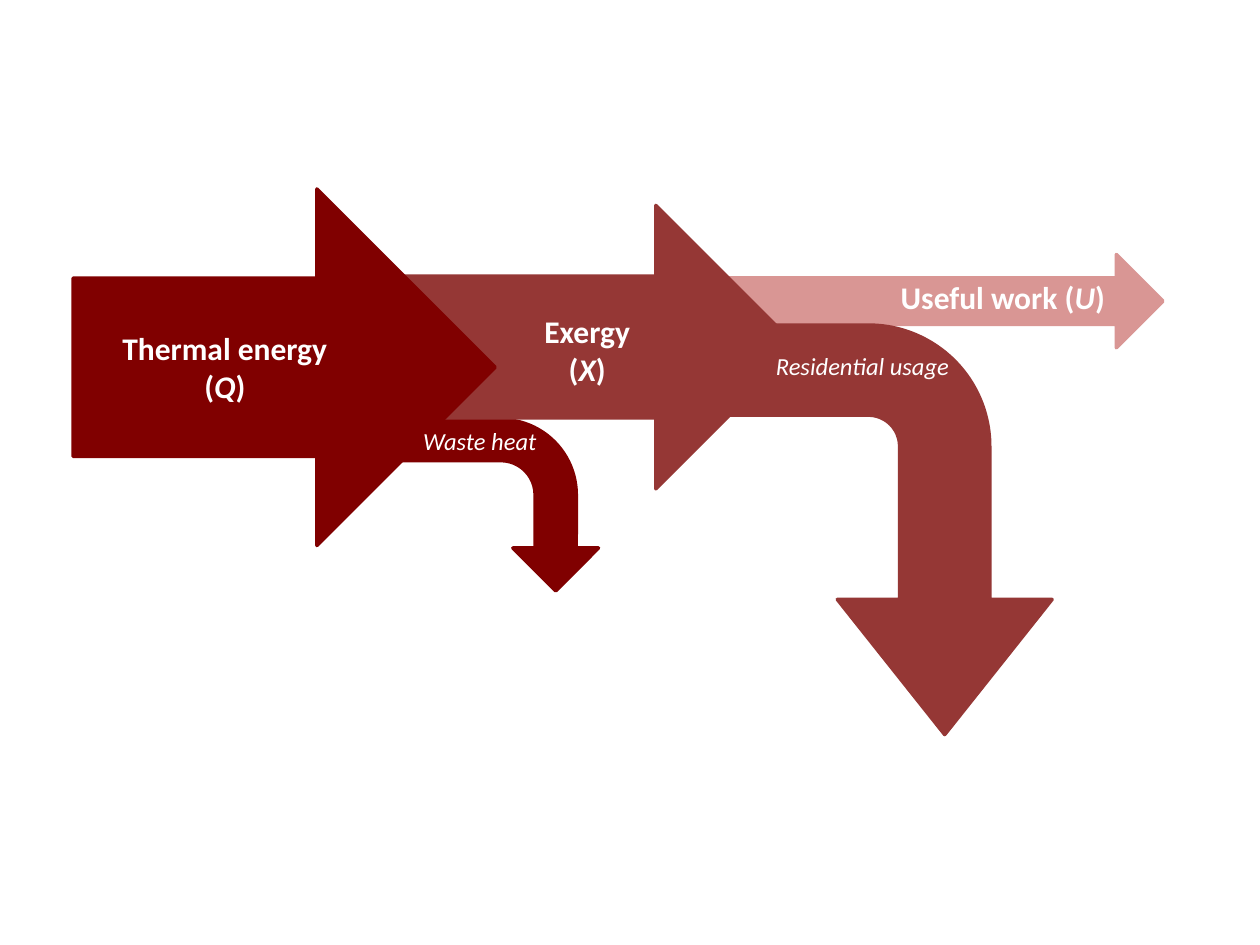
from pptx import Presentation
from pptx.dml.color import RGBColor
from pptx.enum.shapes import MSO_SHAPE
from pptx.enum.text import MSO_AUTO_SIZE, PP_ALIGN
from pptx.util import Inches, Pt

DARK_RED = RGBColor(0x80, 0x00, 0x00)
MID_RED = RGBColor(0x95, 0x37, 0x35)
PINK = RGBColor(0xD9, 0x96, 0x94)
WHITE = RGBColor(0xFF, 0xFF, 0xFF)


def add_text(s, text, box, size=18, bold=True, align=PP_ALIGN.LEFT):
    """Add a label: *...* is italic, \\n a new paragraph, \\v a line break."""
    tf = s.shapes.add_textbox(*map(Inches, box)).text_frame
    tf.word_wrap = True
    tf.auto_size = MSO_AUTO_SIZE.SHAPE_TO_FIT_TEXT
    for i, para in enumerate(text.split("\n")):
        p = tf.add_paragraph() if i else tf.paragraphs[0]
        p.alignment = align
        for j, line in enumerate(para.split("\v")):
            if j:
                p.add_line_break()
            for k, part in enumerate(line.split("*")):
                if not part:
                    continue
                r = p.add_run()
                r.text = part
                r.font.name = "Calibri"
                r.font.size = Pt(size)
                r.font.bold = bold
                r.font.italic = k % 2 == 1
                r.font.color.rgb = WHITE


prs = Presentation()
prs.slide_width = Inches(10)
prs.slide_height = Inches(7.5)
s = prs.slides.add_slide(prs.slide_layouts[6])

# Flows from back to front: shape, box, colour, rotation, adjustments
RIGHT, BENT = MSO_SHAPE.RIGHT_ARROW, MSO_SHAPE.BENT_ARROW
flows = [
    (RIGHT, (5.56, 2.02, 3.67, 0.74), PINK, 0, ()),
    (BENT, (5.35, 2.83, 3.25, 2.75), MID_RED, 90, (0.26, 0.31, 0.39, 0.35)),
    (MSO_SHAPE.FLOWCHART_PROCESS, (3.12, 2.2, 2.46, 1.11), DARK_RED, 0, ()),
    (BENT, (3.26, 3.2, 1.36, 1.62), DARK_RED, 90, (0.24, 0.25, 0.25, 0.44)),
    (RIGHT, (3.12, 1.63, 3.21, 2.25), MID_RED, 0, ()),
    (RIGHT, (0.58, 1.5, 3.35, 2.83), DARK_RED, 0, ()),
]
for kind, box, color, rotation, adjustments in flows:
    sp = s.shapes.add_shape(kind, *map(Inches, box))
    sp.rotation = rotation
    for i, value in enumerate(adjustments):
        sp.adjustments[i] = value
    sp.shadow.inherit = False
    sp.fill.solid()
    sp.fill.fore_color.rgb = color
    sp.line.color.rgb = color
    sp.line.width = Pt(2)

add_text(s, "Thermal energy\v(*Q*)", (0.72, 2.56, 2.13, 0.71), align=PP_ALIGN.CENTER)
add_text(s, "Exergy\n(*X*)", (3.95, 2.43, 1.42, 0.71), align=PP_ALIGN.CENTER)
add_text(s, "Useful work (*U*)", (7.05, 2.16, 2.01, 0.4))
add_text(s, "*Waste heat*", (3.26, 3.33, 1.22, 0.34), size=14, bold=False)
add_text(s, "*Residential usage*", (6.06, 2.74, 1.67, 0.34), size=14, bold=False)

prs.save("out.pptx")
